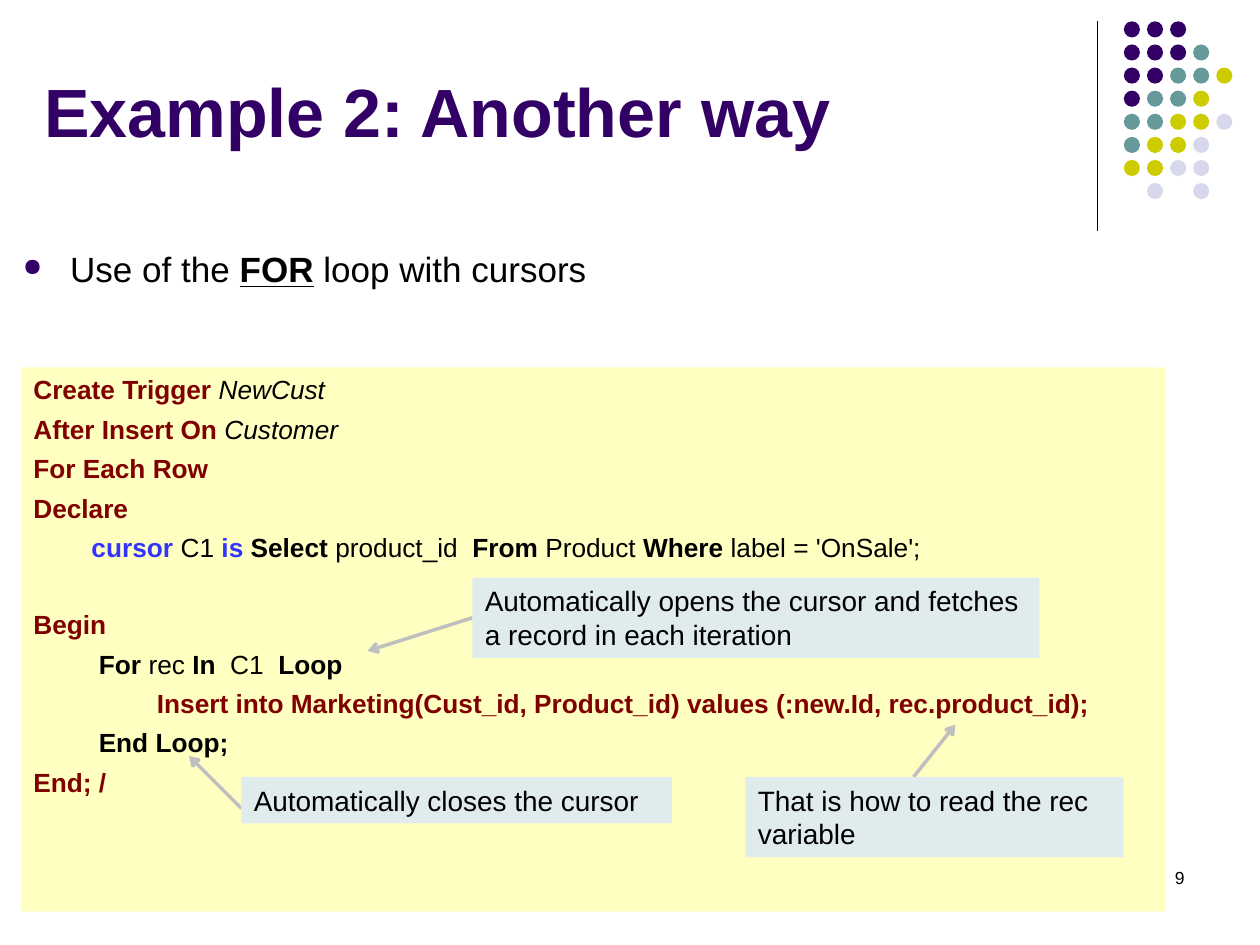
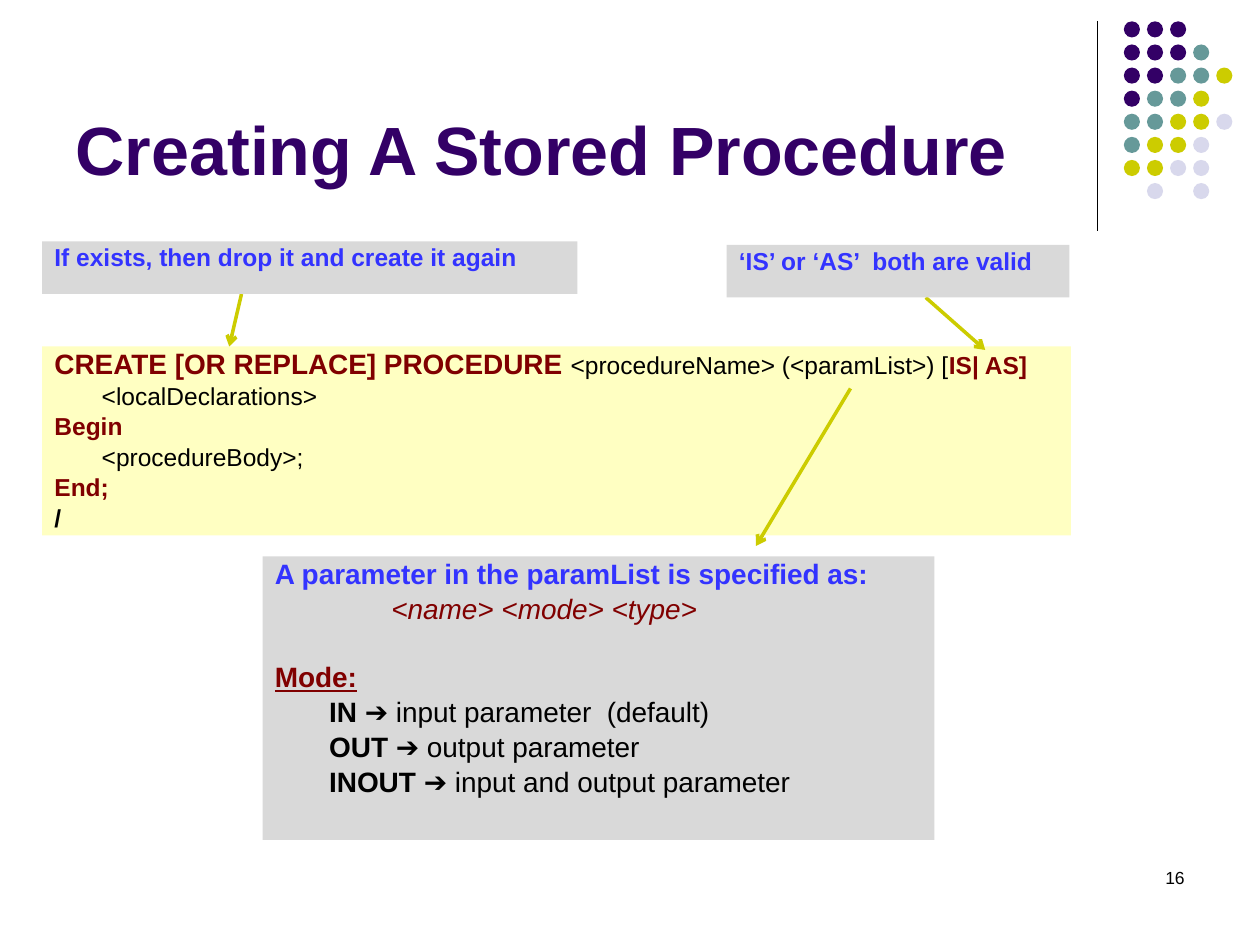
from lxml import etree
from pptx import Presentation
from pptx.dml.color import RGBColor
from pptx.enum import shapes, text
from pptx.oxml import ns
from pptx.util import Pt

FONT = "Arial"
PURPLE = RGBColor(0x33, 0x00, 0x66)
TEAL = RGBColor(0x66, 0x99, 0x99)
LIME = RGBColor(0xCC, 0xCC, 0x00)
LAVENDER = RGBColor(0xD8, 0xD8, 0xEC)
BLACK = RGBColor(0x00, 0x00, 0x00)
MAROON = RGBColor(0x80, 0x00, 0x00)
BLUE = RGBColor(0x33, 0x33, 0xFF)
CREAM = RGBColor(0xFF, 0xFF, 0xC2)
MIST = RGBColor(0xE0, 0xEB, 0xEB)
GREY = RGBColor(0xD9, 0xD9, 0xD9)
SILVER = RGBColor(0xBF, 0xBF, 0xBF)

PLAIN = {"color": BLACK}
STRONG = {"color": BLACK, "bold": True}
NAME = {"color": BLACK, "italic": True}
KEYWORD = {"color": MAROON, "bold": True}
ACCENT = {"color": BLUE, "bold": True}

DOT_COLOURS = {"P": PURPLE, "T": TEAL, "L": LIME, "V": LAVENDER}
DOT_ROWS = ["PPP", "PPPT", "PPTTL", "PTTL", "TTLLV", "TLLV", "LLVV", " V V"]
DOT_LEFT, DOT_TOP, DOT_STEP, DOT_SIZE = 642.2, 12.2, 13.2, 9.2

TRIGGER_CODE = [
    [("Create Trigger ", KEYWORD), ("NewCust", NAME)],
    [("After Insert On ", KEYWORD), ("Customer", NAME)],
    [("For Each Row", KEYWORD)],
    [("Declare", KEYWORD)],
    [("        cursor", ACCENT), (" C1 ", PLAIN), ("is ", ACCENT), ("Select", STRONG),
     (" product_id  ", PLAIN), ("From", STRONG), (" Product ", PLAIN), ("Where", STRONG),
     (" label = 'OnSale';", PLAIN)],
    [("Begin", KEYWORD)],
    [("         For ", STRONG), ("rec ", PLAIN), ("In  ", STRONG), ("C1  ", PLAIN), ("Loop", STRONG)],
    [("                 Insert into Marketing(Cust_id, Product_id) values (:new.Id, rec.product_id);",
      KEYWORD)],
    [("         End Loop;", STRONG)],
    [("End; /", KEYWORD)],
]
PROCEDURE_CODE = [
    [("CREATE [OR REPLACE] PROCEDURE ", {**KEYWORD, "size": Pt(16)}),
     ("<procedureName> (<paramList>) [", PLAIN), ("IS| AS]", KEYWORD)],
    [("<localDeclarations>", PLAIN)],
    [("Begin", KEYWORD)],
    [("<procedureBody>;", PLAIN)],
    [("End;", KEYWORD)],
    [("/", STRONG)],
]
PARAMETER_NOTES = [
    [("A parameter in the paramList is specified as:", ACCENT)],
    [("<name> <mode> <type>", {"color": MAROON, "italic": True})],
    [("Mode:", {**KEYWORD, "underline": True})],
    [("IN ", STRONG), ("➔ input parameter  (default)", PLAIN)],
    [("OUT ", STRONG), ("➔ output parameter", PLAIN)],
    [("INOUT ", STRONG), ("➔ input and output parameter", PLAIN)],
]


def points(*lengths):
    """Turn plain numbers into lengths in points."""
    return [Pt(length) for length in lengths]


def apply_format(font, values):
    """Set font attributes from a dict of format values."""
    for name, value in values.items():
        if name == "color":
            font.color.rgb = value
        else:
            setattr(font, name, value)


def write_lines(box, lines, size, gap=0, gaps=None, indents=None, **para_format):
    """Fill a box with paragraphs of formatted spans, with gaps and indents by line."""
    frame = box.text_frame
    frame.word_wrap = True
    for index, spans in enumerate(lines):
        para = frame.paragraphs[0] if index == 0 else frame.add_paragraph()
        para.alignment = text.PP_ALIGN.LEFT
        if index:
            para.space_before = Pt((gaps or {}).get(index, gap))
        if index in (indents or {}):
            para._p.get_or_add_pPr().set("marL", str(Pt(indents[index])))
        for name, value in para_format.items():
            setattr(para, name, value)
        for words, values in spans:
            span = para.add_run()
            span.text = words
            apply_format(span.font, {"name": FONT, "size": Pt(size), **values})


def add_fill(page, kind, place, colour):
    """Add a flat shape with no outline or shadow."""
    shape = page.shapes.add_shape(kind, *points(*place))
    shape.shadow.inherit = False
    shape.fill.solid()
    shape.fill.fore_color.rgb = colour
    shape.line.fill.background()
    return shape


def add_panel(page, place, colour, lines, size, **layout):
    """Add a filled rectangle with text from its top left."""
    box = add_fill(page, shapes.MSO_SHAPE.RECTANGLE, place, colour)
    box.text_frame.vertical_anchor = text.MSO_ANCHOR.TOP
    write_lines(box, lines, size, **layout)
    return box


def add_line(page, start, end, colour, width):
    """Add a straight line without a shadow."""
    line = page.shapes.add_connector(shapes.MSO_CONNECTOR.STRAIGHT, *points(*start, *end))
    line.line.color.rgb = colour
    line.line.width = Pt(width)
    etree.SubElement(line._element.spPr, ns.qn("a:effectLst"))
    return line


def add_arrow(page, start, end, colour):
    """Add a line with an open arrowhead at its end."""
    arrow = add_line(page, start, end, colour, 2)
    etree.SubElement(arrow.line._get_or_add_ln(), ns.qn("a:tailEnd"), type="arrow")
    return arrow


def add_dots(page):
    """Draw the corner ornament of coloured dots and its rule."""
    add_line(page, (627, 12), (627, 132), BLACK, 0.75)
    for row, marks in enumerate(DOT_ROWS):
        for column, mark in enumerate(marks):
            if mark in DOT_COLOURS:
                place = (DOT_LEFT + column * DOT_STEP, DOT_TOP + row * DOT_STEP, DOT_SIZE, DOT_SIZE)
                add_fill(page, shapes.MSO_SHAPE.OVAL, place, DOT_COLOURS[mark])


def add_text(page, place, lines, size, **layout):
    """Add a plain text box."""
    box = page.shapes.add_textbox(*points(*place))
    write_lines(box, lines, size, **layout)
    return box


def add_bullet(para, indent):
    """Give a paragraph a small purple bullet with a hanging indent."""
    props = para._p.get_or_add_pPr()
    props.set("marL", str(Pt(indent)))
    props.set("indent", str(-Pt(indent)))
    colour = etree.SubElement(props, ns.qn("a:buClr"))
    etree.SubElement(colour, ns.qn("a:srgbClr"), val=str(PURPLE))
    etree.SubElement(props, ns.qn("a:buSzPct"), val="70000")
    etree.SubElement(props, ns.qn("a:buChar"), char="●")


def add_page(deck, title, place, number):
    """Add a slide with the shared ornament, title style and page number."""
    page = deck.slides.add_slide(deck.slide_layouts[5])
    add_dots(page)
    box = page.shapes.title
    box.left, box.top, box.width, box.height = points(*place)
    box.text_frame.auto_size = text.MSO_AUTO_SIZE.NONE
    box.text_frame.vertical_anchor = text.MSO_ANCHOR.BOTTOM
    write_lines(box, [[(title, {"color": PURPLE, "bold": True})]], 39)
    add_text(page, (516, 492, 168, 36), [[(number, PLAIN)]], 10, alignment=text.PP_ALIGN.RIGHT)
    return page


def build_trigger_page(deck):
    """Build the slide on the FOR loop in a trigger."""
    page = add_page(deck, "Example 2: Another way", (18, 39.6, 594, 50.4), "9")
    intro = [("Use of the ", PLAIN), ("FOR", {**STRONG, "underline": True}),
             (" loop with cursors", PLAIN)]
    box = add_text(page, (6, 138, 606, 72), [intro], 20)
    add_bullet(box.text_frame.paragraphs[0], 27)
    add_panel(page, (12, 210, 654, 311), CREAM, TRIGGER_CODE, 15, gap=4.5, gaps={5: 26.2})
    callouts = [
        ("Automatically opens the cursor and fetches a record in each iteration",
         (270, 330, 324, 46), (270, 353), (210, 372)),
        ("Automatically closes the cursor", (138, 444, 246, 26.6), (138, 462), (108, 432)),
        ("That is how to read the rec variable", (426, 444, 216, 46), (522, 444), (546, 414)),
    ]
    for index, (words, place, start, end) in enumerate(callouts):
        arrow = add_arrow(page, start, end, SILVER)
        callout = add_panel(page, place, MIST, [[(words, PLAIN)]], 16)
        if index == 0:
            arrow.begin_connect(callout, 1)


def build_procedure_page(deck):
    """Build the slide on the syntax of a stored procedure."""
    page = add_page(deck, "Creating A Stored Procedure", (36, 9.6, 594, 102), "16")
    add_panel(page, (24, 198, 588, 108), CREAM, PROCEDURE_CODE, 14, gap=4,
              indents={1: 27, 3: 27}, line_spacing=0.8)
    add_arrow(page, (486, 222), (432, 312), LIME)
    add_panel(page, (150, 318, 384, 162), GREY, PARAMETER_NOTES, 16, gap=4.6, gaps={2: 23.9},
              indents={1: 66.5, 3: 31, 4: 31, 5: 31}, line_spacing=0.8)
    hints = [
        ("If exists, then drop it and create it again", (24, 138, 306, 30), (138, 168), (131, 198)),
        ("‘IS’ or ‘AS’  both are valid", (415.2, 140, 196, 30), (529, 170), (563, 200)),
    ]
    for words, place, start, end in hints:
        add_arrow(page, start, end, LIME)
        add_panel(page, place, GREY, [[(words, ACCENT)]], 14, line_spacing=0.8)


def main():
    """Build and save the deck."""
    deck = Presentation()
    deck.slide_width, deck.slide_height = points(720, 540)
    build_trigger_page(deck)
    build_procedure_page(deck)
    deck.save("out.pptx")


if __name__ == "__main__":
    main()
